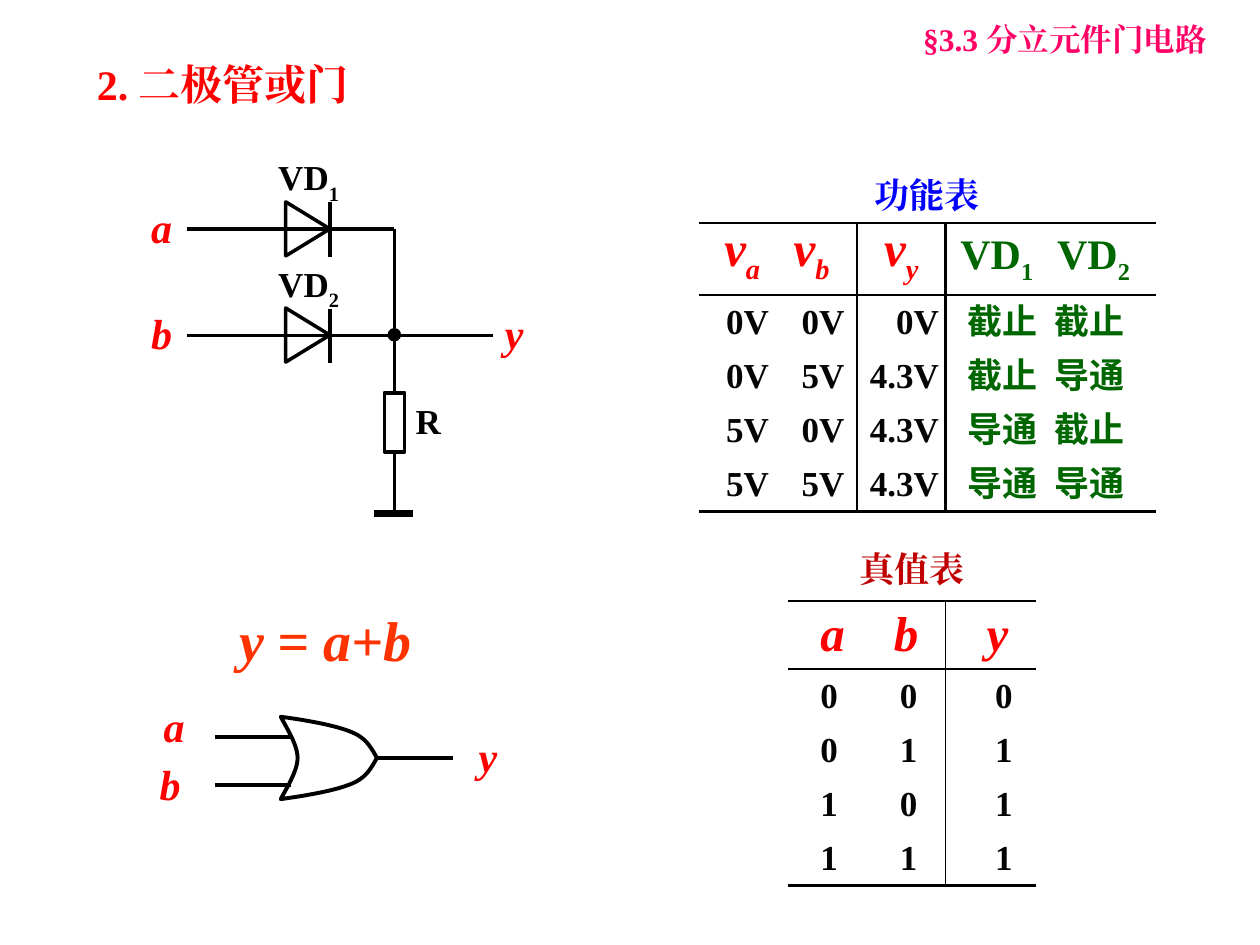
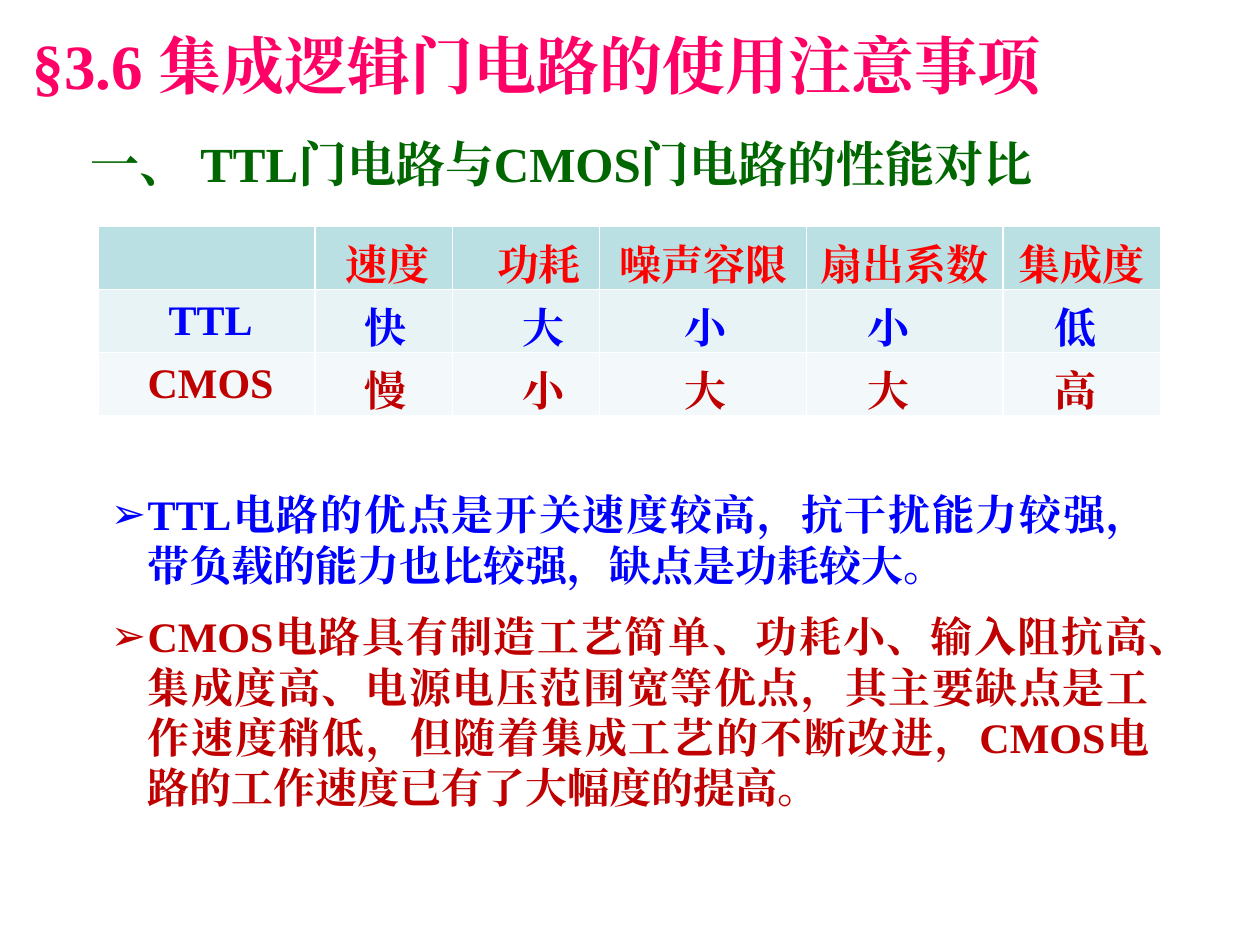
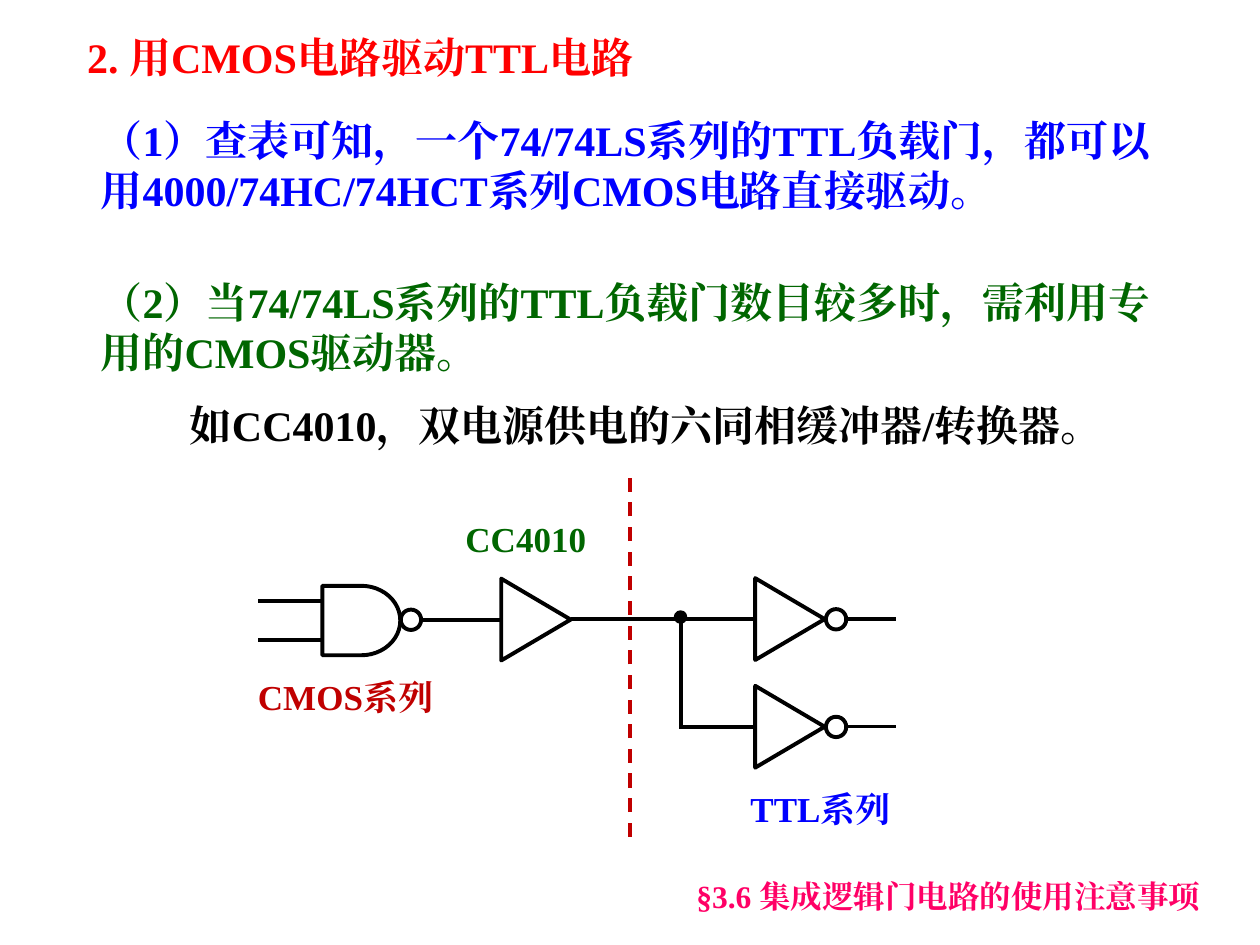
from dataclasses import dataclass
from typing import NamedTuple

from lxml.etree import SubElement
from pptx import Presentation
from pptx.dml.color import RGBColor
from pptx.enum.dml import MSO_LINE
from pptx.enum.lang import MSO_LANGUAGE_ID
from pptx.enum.shapes import MSO_CONNECTOR, MSO_SHAPE
from pptx.enum.text import MSO_ANCHOR, MSO_AUTO_SIZE, PP_ALIGN
from pptx.oxml.ns import qn
from pptx.util import Cm, Pt

FONT = "Times New Roman"
COLORS = {
    "red": "FF0000", "orange": "FF3300", "pink": "FF0066", "crimson": "C00000",
    "green": "006600", "blue": "0000FF", "black": "000000", "ink": "040404",
    "white": "FFFFFF", "head": "BBE0E3", "band1": "E7F3F4", "band2": "F3F9FA",
}
NO_STYLE = "{2D5ABB26-0587-4C30-8999-92F81FD0307C}"
SECTION = "§3.6 集成逻辑门电路的使用注意事项"
LEFT, CENTER, RIGHT = PP_ALIGN.LEFT, PP_ALIGN.CENTER, PP_ALIGN.RIGHT
TOP, MIDDLE, BOTTOM = MSO_ANCHOR.TOP, MSO_ANCHOR.MIDDLE, MSO_ANCHOR.BOTTOM


class Run(NamedTuple):
    text: str
    size: float
    color: str
    italic: bool = False
    base: int = 0
    font: str = FONT


class Box(NamedTuple):
    x: float
    y: float
    w: float
    h: float

    def lengths(self) -> list:
        return [Cm(v) for v in self]


class Place(NamedTuple):
    """Where text sits in a table cell; inset and lift are in cm."""
    align: PP_ALIGN = LEFT
    inset: float = 0
    anchor: MSO_ANCHOR = MIDDLE
    lift: float = 0


@dataclass
class Column:
    width: float
    head: Place
    body: Place
    rule: float = 0


@dataclass
class Diode:
    y: float
    source: str
    index: str
    wire_end: float


def rgb(name: str) -> RGBColor:
    return RGBColor.from_string(COLORS[name])


def write(p, *runs: Run) -> None:
    for run in runs:
        r = p.add_run()
        r.text = run.text
        f = r.font
        f.size, f.bold, f.italic, f.name = Pt(run.size), True, run.italic, run.font
        f.color.rgb = rgb(run.color)
        f.language_id = MSO_LANGUAGE_ID.SIMPLIFIED_CHINESE
        SubElement(f._element, qn("a:ea"), typeface=run.font)
        if run.base:
            f._element.set("baseline", str(run.base * 1000))


def fill_frame(sp, *runs: Run, align=LEFT, anchor=TOP):
    tf = sp.text_frame
    tf.word_wrap, tf.auto_size, tf.vertical_anchor = True, MSO_AUTO_SIZE.NONE, anchor
    p = tf.paragraphs[0]
    p.alignment = align
    write(p, *runs)
    return p


def text(s, box: Box, *runs: Run, align=LEFT, anchor=TOP):
    return fill_frame(s.shapes.add_textbox(*box.lengths()), *runs, align=align, anchor=anchor)


def place(sp, box: Box) -> None:
    sp.left, sp.top, sp.width, sp.height = box.lengths()


def title(s, box: Box, run: Run, anchor=TOP) -> None:
    place(s.shapes.title, box)
    fill_frame(s.shapes.title, run, anchor=anchor)


def section_tag(s, box: Box, *parts: str) -> None:
    text(s, box, *(Run(part, 18, "pink") for part in parts))


def label(s, x: float, y: float, name: str) -> None:
    text(s, Box(x, y, 1.2, 1.27), Run(name, 24, "red", True))


def line(s, x1, y1, x2, y2, width: float = 2, color: str = "black", dash=None) -> None:
    sp = s.shapes.add_connector(MSO_CONNECTOR.STRAIGHT, Cm(x1), Cm(y1), Cm(x2), Cm(y2))
    sp.line.width, sp.line.color.rgb = Pt(width), rgb(color)
    if dash:
        sp.line.dash_style = dash
    SubElement(sp._element.spPr, qn("a:effectLst"))


def outline(sp, width: float, fill: str = "") -> None:
    sp.shadow.inherit = False
    sp.line.width, sp.line.color.rgb = Pt(width), rgb("black")
    if fill:
        sp.fill.solid()
        sp.fill.fore_color.rgb = rgb(fill)
    else:
        sp.fill.background()


def shape(s, kind: MSO_SHAPE, box: Box, width: float = 2.25, fill: str = "", turn: float = 0) -> None:
    sp = s.shapes.add_shape(kind, *box.lengths())
    sp.rotation = turn
    outline(sp, width, fill)


def dot(s, x: float, y: float) -> None:
    shape(s, MSO_SHAPE.OVAL, Box(x - 0.1, y - 0.1, 0.2, 0.2), 2, "black")


def border(cell, side: str, width: float) -> None:
    ln = SubElement(cell._tc.get_or_add_tcPr(), qn(f"a:ln{side}"), w=str(Pt(width)))
    fill = SubElement(ln, qn("a:solidFill"))
    SubElement(fill, qn("a:srgbClr"), val=COLORS["black"])


def grid(s, x: float, y: float, columns: list[Column], heights: list[float], rows: list, fills=None) -> None:
    """Draw a table; without fills it is ruled in black on a clear ground."""
    box = Box(x, y, sum(c.width for c in columns), sum(heights))
    table = s.shapes.add_table(len(rows), len(columns), *box.lengths()).table
    if not fills:
        table._tbl.tblPr.find(qn("a:tableStyleId")).text = NO_STYLE
    for column, c in zip(table.columns, columns):
        column.width = Cm(c.width)
    for i, (height, row) in enumerate(zip(heights, rows)):
        table.rows[i].height = Cm(height)
        for j, (c, runs) in enumerate(zip(columns, row)):
            cell = table.cell(i, j)
            spot = c.body if i else c.head
            if fills:
                cell.fill.solid()
                cell.fill.fore_color.rgb = rgb(fills[i])
            else:
                if c.rule:
                    border(cell, "R", c.rule)
                if i == 0:
                    border(cell, "T", 1.5)
                if i in (0, len(rows) - 1):
                    border(cell, "B", 1.5)
                cell.fill.background()
            cell.margin_left = Cm(0 if spot.align == RIGHT else spot.inset)
            cell.margin_right = Cm(spot.inset if spot.align == RIGHT else 0)
            cell.margin_top, cell.margin_bottom = 0, Cm(spot.lift)
            cell.vertical_anchor = spot.anchor
            p = cell.text_frame.paragraphs[0]
            p.alignment = spot.align
            write(p, *runs)


def bezier(p0, p1, p2, p3, steps: int = 12) -> list:
    def at(t: float, k: int) -> float:
        u = 1 - t
        return u**3 * p0[k] + 3 * u * u * t * p1[k] + 3 * u * t * t * p2[k] + t**3 * p3[k]
    return [(at(i / steps, 0), at(i / steps, 1)) for i in range(steps + 1)]


def or_gate(s) -> None:
    axis = 15.28
    upper = (bezier((6, axis), (6, 15.04), (5.82, 14.74), (5.66, 14.45))
             + bezier((5.66, 14.45), (6.25, 14.53), (6.78, 14.63), (7.09, 14.76))
             + bezier((7.09, 14.76), (7.39, 14.88), (7.49, 15.09), (7.6, axis)))
    lower = [(x, 2 * axis - y) for x, y in reversed(upper)]
    start, *rest = [(Cm(x), Cm(y)) for x, y in upper + lower]
    builder = s.shapes.build_freeform(*start)
    builder.add_line_segments(rest, close=True)
    outline(builder.convert_to_shape(), 2.25)
    line(s, 7.63, axis, 9.14, axis, 2.25)
    for y in (14.86, 15.82):
        line(s, 4.34, y, 5.86, y, 2.25)
    label(s, 3.05, 14, "a")
    label(s, 2.97, 15.16, "b")
    label(s, 9.4, 14.6, "y")


def diode_circuit(s) -> None:
    line(s, 7.95, 4.62, 7.95, 10.41)
    shape(s, MSO_SHAPE.RECTANGLE, Box(7.75, 7.92, 0.41, 1.19), 2, "white")
    text(s, Box(8.13, 7.92, 1.4, 1.12), Run("R", 20, "black"))
    line(s, 7.54, 10.36, 8.33, 10.36, 4)
    for d in (Diode(4.62, "a", "1", 7.95), Diode(6.76, "b", "2", 9.93)):
        line(s, 3.76, d.y, d.wire_end, d.y)
        line(s, 6.65, d.y - 0.54, 6.65, d.y + 0.56)
        shape(s, MSO_SHAPE.ISOSCELES_TRIANGLE, Box(5.66, d.y - 0.45, 1.09, 0.89), 2, turn=90)
        text(s, Box(5.36, d.y - 1.6, 2, 1.12), Run("VD", 20, "black"), Run(d.index, 20, "black", base=-30))
        label(s, 2.8, d.y - 0.68, d.source)
    dot(s, 7.95, 6.75)
    label(s, 9.93, 6.07, "y")


def function_table(s) -> None:
    def symbol(name: str, index: str, size: float, color: str, italic: bool) -> list[Run]:
        return [Run(name, size, color, italic), Run(index, size, color, italic, -25)]

    def head(inset: float, align=LEFT) -> Place:
        return Place(align, inset, BOTTOM, 0.2)

    columns = [
        Column(1.7, head(0.5), Place(LEFT, 0.54)),
        Column(1.48, head(0.2), Place(LEFT, 0.36), 1),
        Column(1.78, head(0, CENTER), Place(RIGHT, 0.13), 1.5),
        Column(2, head(0.3), Place(LEFT, 0.45)),
        Column(2.24, head(0.25), Place(LEFT, 0.2)),
    ]
    rows = [[symbol("v", i, 28, "red", True) for i in "aby"]
            + [symbol("VD", i, 24, "green", False) for i in "12"]]
    for values in ("0V 0V 0V 截止 截止", "0V 5V 4.3V 截止 导通", "5V 0V 4.3V 导通 截止", "5V 5V 4.3V 导通 导通"):
        cells = values.split()
        rows.append([[Run(v, 20, "ink")] for v in cells[:3]]
                    + [[Run(v, 20, "green", font="Arial")] for v in cells[3:]])
    text(s, Box(17.37, 3.38, 3, 1.12), Run("功能表", 20, "blue"))
    grid(s, 14.1, 4.5, columns, [1.45] + [1.09] * 4, rows)


def truth_table(s) -> None:
    columns = [Column(width, Place(LEFT, inset, BOTTOM, 0.15), Place(LEFT, shift), rule)
               for width, inset, shift, rule in ((1.6, 0.66, 0.66, 0), (1.58, 0.54, 0.66, 1), (1.83, 0.83, 1, 0))]
    rows = [[[Run(name, 28, "red", True)] for name in "aby"]]
    rows += [[[Run(str(v), 20, "ink")] for v in (a, b, a | b)] for a in (0, 1) for b in (0, 1)]
    text(s, Box(17.07, 10.92, 3, 1.12), Run("真值表", 20, "crimson"))
    grid(s, 15.88, 12.12, columns, [1.37] + [1.09] * 4, rows)


def or_gate_slide(prs) -> None:
    s = prs.slides.add_slide(prs.slide_layouts[5])
    title(s, Box(1.7, 0.99, 7.21, 1.4), Run("2. 二极管或门", 24, "red"), MIDDLE)
    section_tag(s, Box(18.36, 0.28, 6.96, 1.02), "§3.3 ", "分立元件门电路")
    diode_circuit(s)
    text(s, Box(4.57, 12.34, 5.16, 1.35), Run("y = a+b", 32, "orange", True)).line_spacing = 0.8
    or_gate(s)
    function_table(s)
    truth_table(s)


def bullet(p, run: Run) -> None:
    p.alignment = PP_ALIGN.JUSTIFY
    pPr = p._p.get_or_add_pPr()
    pPr.set("marL", str(Cm(0.74)))
    pPr.set("indent", str(Cm(-0.74)))
    SubElement(pPr, qn("a:buChar"), char="➢")
    write(p, run)


def comparison_slide(prs) -> None:
    s = prs.slides.add_slide(prs.slide_layouts[1])
    title(s, Box(0.41, 0.41, 22.81, 1.8), Run(SECTION, 36, "pink"))
    text(s, Box(1.57, 2.59, 21.64, 1.4), Run("一、 TTL门电路与CMOS门电路的性能对比", 28, "green"), anchor=MIDDLE)

    columns = [Column(4.37, Place(), Place(CENTER, 0.16))]
    for width, shift, inset in ((2.77, 0.16, 1), (2.97, 0.52, 1.41), (4.17, 0, 1.7), (3.96, 0, 1.23), (3.18, 0, 1.03)):
        columns.append(Column(width, Place(CENTER, shift, BOTTOM), Place(LEFT, inset, BOTTOM)))
    heads = ["速度", "功耗", "噪声容限", "扇出系数", "集成度"]
    rows = [[[]] + [[Run(v, 24, "red")] for v in heads]]
    for family, grades, color in (("TTL", "快大小小低", "blue"), ("CMOS", "慢小大大高", "crimson")):
        rows.append([[Run(v, 24, color)] for v in (family, *grades)])
    grid(s, 1.98, 4.57, columns, [1.27] * 3, rows, ["head", "band1", "band2"])

    body = s.placeholders[1]
    place(body, Box(1.98, 9.73, 21.44, 6.93))
    tf = body.text_frame
    tf.auto_size = MSO_AUTO_SIZE.NONE
    first, second = tf.paragraphs[0], tf.add_paragraph()
    first.space_before, second.space_before = Pt(0), Pt(12)
    bullet(first, Run("TTL电路的优点是开关速度较高，抗干扰能力较强，带负载的能力也比较强，缺点是功耗较大。", 24, "blue"))
    bullet(second, Run("CMOS电路具有制造工艺简单、功耗小、输入阻抗高、集成度高、电源电压范围宽等优点，"
                       "其主要缺点是工作速度稍低，但随着集成工艺的不断改进，"
                       "CMOS电路的工作速度已有了大幅度的提高。", 24, "crimson"))


def buffer(s, x: float, y: float) -> None:
    shape(s, MSO_SHAPE.FLOWCHART_MERGE, Box(x, y - 0.7, 1.65, 1.4), turn=270)


def bubble(s, x: float, y: float) -> None:
    shape(s, MSO_SHAPE.OVAL, Box(x, y - 0.2, 0.41, 0.41))


def driver_circuit(s) -> None:
    line(s, 12.7, 16.87, 12.7, 9.52, 2, "crimson", MSO_LINE.DASH)
    for y in (12.12, 12.9):
        line(s, 5.21, y, 6.5, y, 2.25)
    shape(s, MSO_SHAPE.FLOWCHART_DELAY, Box(6.5, 11.81, 1.57, 1.4))
    bubble(s, 8.08, 12.49)
    line(s, 8.53, 12.5, 10.08, 12.5, 2.25)
    buffer(s, 9.98, 12.49)
    line(s, 11.51, 12.47, 15.21, 12.47, 2.25)
    line(s, 13.72, 12.47, 13.72, 14.66, 2.25)
    line(s, 13.69, 14.66, 15.21, 14.66, 2.25)
    dot(s, 13.72, 12.44)
    for y in (12.48, 14.65):
        buffer(s, 15.1, y)
        bubble(s, 16.65, y)
        line(s, 17.07, y, 18.06, y)
    text(s, Box(8.9, 10.31, 3.4, 1.12), Run("CC4010", 20, "green"), align=CENTER)
    text(s, Box(4.95, 13.49, 4.09, 1.12), Run("CMOS系列", 20, "crimson"))
    text(s, Box(14.88, 15.75, 3.38, 1.12), Run("TTL系列", 20, "blue"))


def driver_slide(prs) -> None:
    s = prs.slides.add_slide(prs.slide_layouts[5])
    title(s, Box(1.5, 0.51, 13.79, 1.3), Run("2. 用CMOS电路驱动TTL电路", 24, "red"))
    for box, words, color in (
        (Box(1.78, 2.18, 22.02, 2.31),
         "（1）查表可知，一个74/74LS系列的TTL负载门，都可以用4000/74HC/74HCT系列CMOS电路直接驱动。", "blue"),
        (Box(1.78, 5.44, 22.02, 2.31),
         "（2）当74/74LS系列的TTL负载门数目较多时，需利用专用的CMOS驱动器。", "green"),
        (Box(3.58, 7.92, 19.8, 1.3), "如CC4010，双电源供电的六同相缓冲器/转换器。", "black"),
    ):
        text(s, box, Run(words, 24, color))
    driver_circuit(s)
    section_tag(s, Box(13.79, 17.55, 11.4, 1.02), SECTION)


def main() -> None:
    prs = Presentation()
    prs.slide_width, prs.slide_height = Cm(25.4), Cm(19.05)
    or_gate_slide(prs)
    comparison_slide(prs)
    driver_slide(prs)
    prs.save("out.pptx")


if __name__ == "__main__":
    main()
